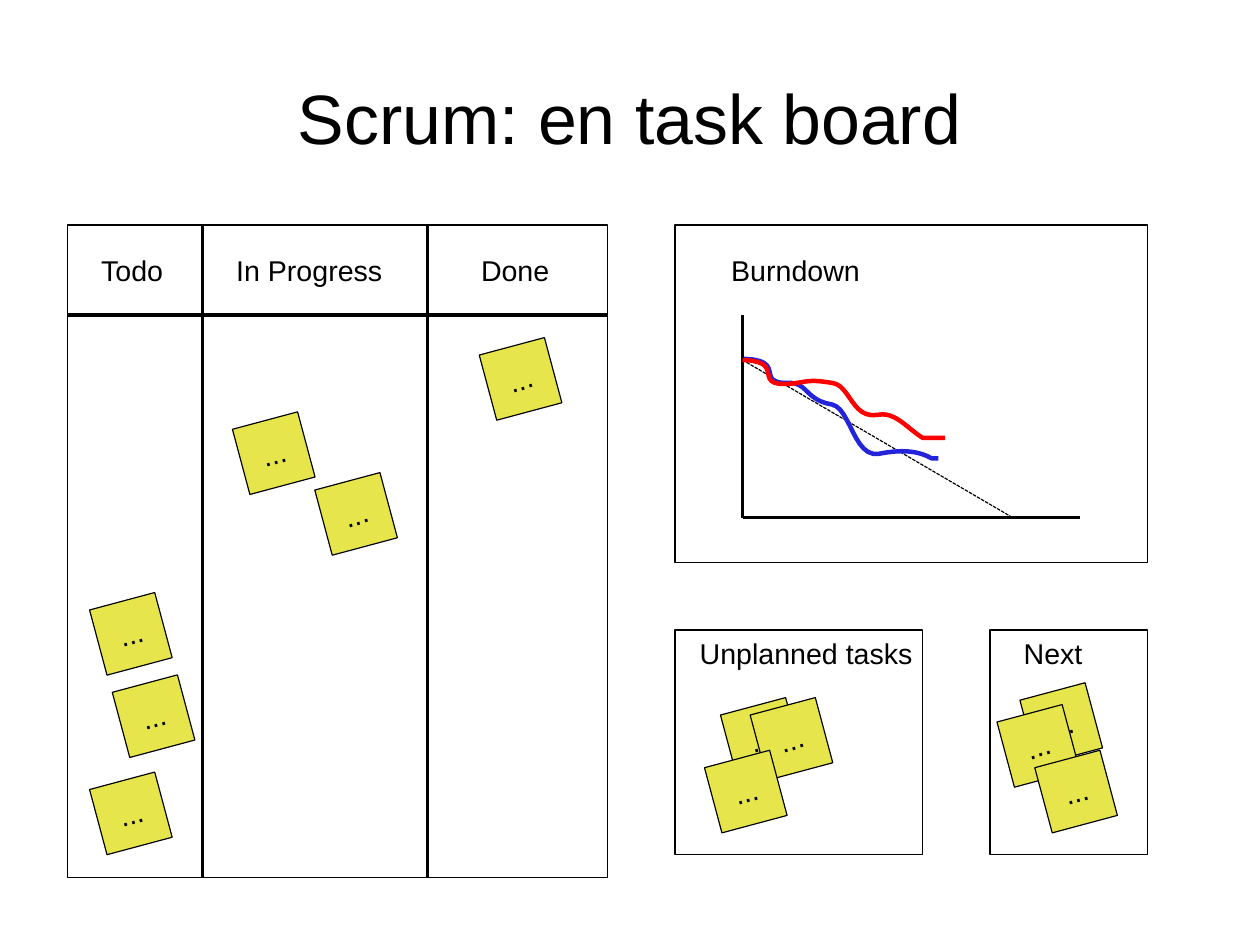
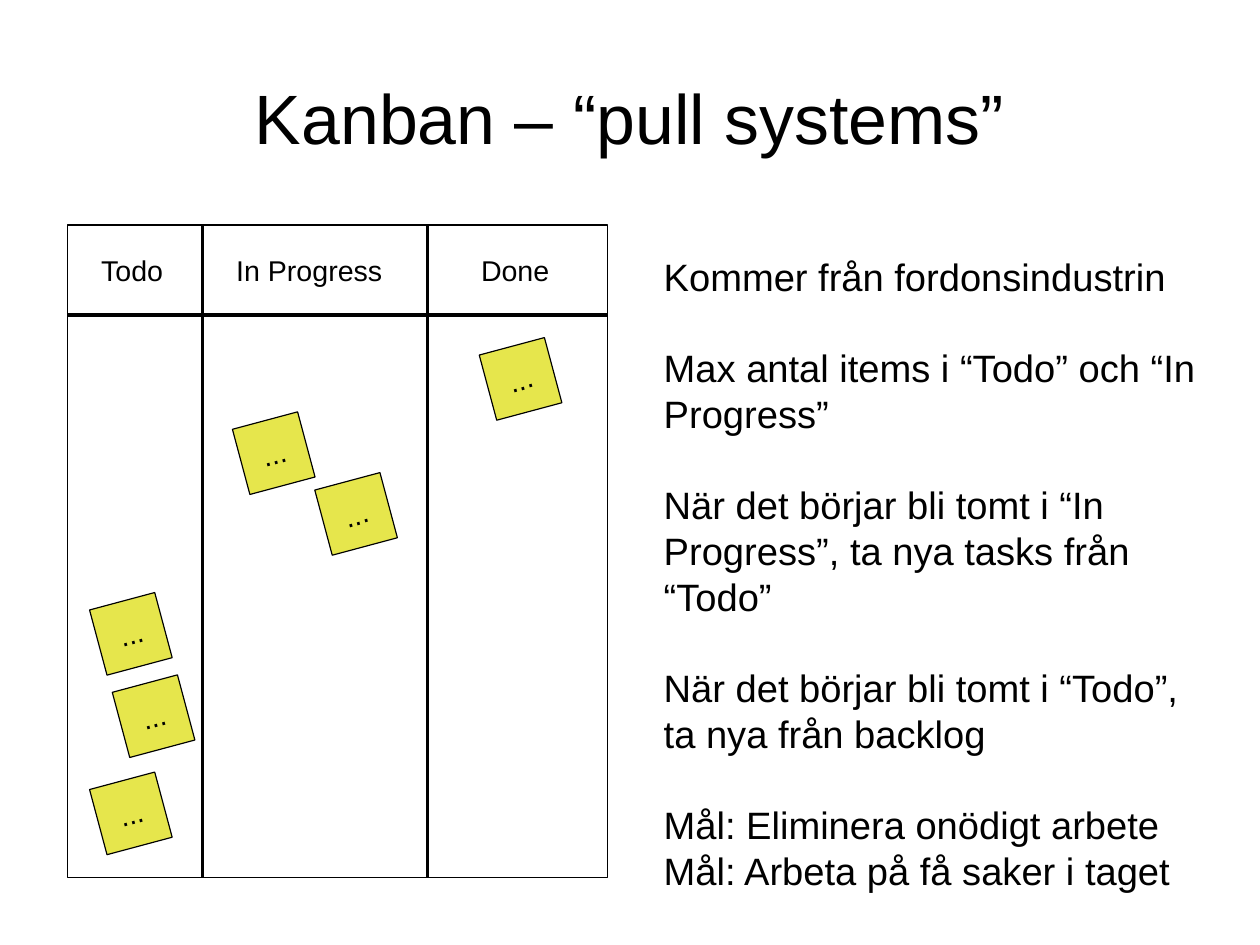
from pptx import Presentation
from pptx.dml.color import RGBColor
from pptx.enum.dml import MSO_LINE
from pptx.enum.shapes import MSO_CONNECTOR, MSO_SHAPE
from pptx.enum.text import MSO_ANCHOR, PP_ALIGN
from pptx.oxml.ns import qn
from pptx.util import Cm, Pt
from lxml import etree

BLACK = RGBColor(0x00, 0x00, 0x00)
WHITE = RGBColor(0xFF, 0xFF, 0xFF)
NOTE_YELLOW = RGBColor(0xE6, 0xE6, 0x4C)
BLUE = RGBColor(0x23, 0x23, 0xDC)
RED = RGBColor(0xFF, 0x00, 0x00)
RECTANGLE = MSO_SHAPE.RECTANGLE
STRAIGHT = MSO_CONNECTOR.STRAIGHT
DOTTED = MSO_LINE.SQUARE_DOT
LEFT, CENTER = PP_ALIGN.LEFT, PP_ALIGN.CENTER
TOP, MIDDLE = MSO_ANCHOR.TOP, MSO_ANCHOR.MIDDLE

FONT = "Arial"
TITLE_SIZE, BODY_SIZE, LABEL_SIZE = Pt(44), Pt(24), Pt(18)
BODY_LINE = Pt(28.8)
HAIRLINE, CURVE_WIDTH = Pt(0), Pt(2.83)

# Grid: 56 columns by 42 rows; boxes are (column, row, columns, rows)
CELL = Cm(0.5)
COLUMNS, ROWS = 56, 42
TITLE_BOX = (2.8, 1.7, 50.4, 7)
BOARD_BOX = (3, 10, 24, 29)
BURNDOWN_BOX = (30, 10, 21, 15)
UNPLANNED_BOX = (30, 28, 11, 10)
NEXT_BOX = (44, 28, 7, 10)
PRINCIPLES_BOX = (29, 11, 25, 29)
NOTE_SIDE, NOTE_TILT = 3, -15

# Board parts, measured from the corner of the board
HEADER_ROWS = 4
DIVIDERS = (6, 16)
BOARD_LABELS = (("Todo", 1, 4), ("In Progress", 7, 8), ("Done", 17.88, 4.5))
BOARD_NOTES = ((18.64, 5.34), (7.67, 8.64), (1.32, 16.67),
               (11.33, 11.34), (2.33, 20.33), (1.32, 24.65))
UNPLANNED_NOTES = ((2.36, 3.34), (3.68, 3.34), (1.65, 5.68))
NEXT_NOTES = ((1.67, 2.68), (0.65, 3.65), (2.33, 5.68))

# Burndown curves, measured from the top of the vertical axis:
# a start, then two handles and an end for every bend, then a straight tail
PLANNED_CURVE = (
    (0.07, 1.95), (2, 2), (0.53, 3.07), (2, 3.02),
    (2.92, 2.97), (2.76, 3.78), (3.98, 3.98),
    (4.8, 4.14), (4.95, 6.37), (6.07, 6.17),
    (6.83, 6.02), (7.69, 5.96), (8.4, 6.37), (8.71, 6.37))
DELAYED_CURVE = (
    (0, 2), (1.95, 2.05), (0.43, 3.12), (1.95, 3.07),
    (2.86, 3.02), (2.76, 2.82), (3.98, 3.02),
    (4.8, 3.12), (4.85, 4.64), (6.02, 4.44),
    (6.78, 4.29), (7.28, 5), (8, 5.46), (9.01, 5.46))
CURVE_STEPS = 12

PRINCIPLES = (
    "Kommer från fordonsindustrin",
    "Max antal items i “Todo” och “In Progress”",
    "När det börjar bli tomt i “In Progress”, ta nya tasks från “Todo”",
    "När det börjar bli tomt i “Todo”, ta nya från backlog",
    "Mål: Eliminera onödigt arbete",
    "Mål: Arbeta på få saker i taget",
)


def grid(*cells):
    return [round(cell * CELL) for cell in cells]


def style_paragraph(paragraph, size, align=LEFT):
    paragraph.alignment = align
    for run in paragraph.runs:
        run.font.name = FONT
        run.font.size = size
        run.font.color.rgb = BLACK


def add_text(slide, box, lines, size, align=LEFT, anchor=TOP):
    frame = slide.shapes.add_textbox(*grid(*box)).text_frame
    frame.word_wrap = True
    frame.vertical_anchor = anchor
    frame.text = "\n".join(lines)
    for paragraph in frame.paragraphs:
        style_paragraph(paragraph, size, align)
    return frame


def add_box(slide, box, fill=WHITE):
    panel = slide.shapes.add_shape(RECTANGLE, *grid(*box))
    panel.shadow.inherit = False
    panel.fill.solid()
    panel.fill.fore_color.rgb = fill
    panel.line.color.rgb = BLACK
    panel.line.width = HAIRLINE
    return panel


def add_rule(slide, x1, y1, x2, y2):
    rule = slide.shapes.add_connector(STRAIGHT, *grid(x1, y1, x2, y2))
    rule.line.color.rgb = BLACK
    rule.line.width = HAIRLINE
    etree.SubElement(rule.line._get_or_add_ln().getparent(), qn("a:effectLst"))
    return rule


def add_notes(slide, box, places):
    for column, row in places:
        note = add_box(slide, (box[0] + column, box[1] + row,
                               NOTE_SIDE, NOTE_SIDE), NOTE_YELLOW)
        note.rotation = NOTE_TILT
        note.text_frame.text = "..."
        note.text_frame.vertical_anchor = MIDDLE
        style_paragraph(note.text_frame.paragraphs[0], LABEL_SIZE, CENTER)


def bend_points(start, handle1, handle2, end):
    for step in range(1, CURVE_STEPS + 1):
        t = step / CURVE_STEPS
        s = 1 - t
        yield tuple(s**3 * a + 3 * s * s * t * b + 3 * s * t * t * c + t**3 * d
                    for a, b, c, d in zip(start, handle1, handle2, end))


def add_curve(slide, left, top, curve, color):
    points = [curve[0]]
    for i in range(0, len(curve) - 2, 3):
        points.extend(bend_points(*curve[i:i + 4]))
    points.append(curve[-1])
    placed = [grid(left + x, top + y) for x, y in points]
    builder = slide.shapes.build_freeform(*placed[0])
    builder.add_line_segments(placed[1:], close=False)
    trace = builder.convert_to_shape()
    trace.shadow.inherit = False
    trace.fill.background()
    trace.line.color.rgb = color
    trace.line.width = CURVE_WIDTH


def add_title(slide, title):
    frame = add_text(slide, TITLE_BOX, [title], TITLE_SIZE, CENTER, MIDDLE)
    frame.margin_left = frame.margin_right = 0
    frame.margin_top = frame.margin_bottom = 0


def add_board(slide, box):
    left, top, width, height = box
    add_box(slide, box)
    for label, column, columns in BOARD_LABELS:
        add_text(slide, (left + column, top + 1, columns, 2), [label], LABEL_SIZE)
    for column in DIVIDERS:
        add_rule(slide, left + column, top, left + column, top + height)
    add_rule(slide, left, top + HEADER_ROWS, left + width, top + HEADER_ROWS)
    add_notes(slide, box, BOARD_NOTES)


def add_burndown(slide, box):
    left, top = box[:2]
    add_box(slide, box)
    add_text(slide, (left + 2, top + 1, 7, 2), ["Burndown"], LABEL_SIZE)
    # Axes and ideal line
    axis_x, axis_top, axis_bottom = left + 3, top + 4, top + 13
    add_rule(slide, axis_x, axis_top, axis_x, axis_bottom)
    add_rule(slide, axis_x, axis_bottom, axis_x + 15, axis_bottom)
    ideal = add_rule(slide, axis_x, axis_top + 2, axis_x + 12, axis_bottom)
    ideal.line.width = Pt(0.75)
    ideal.line.dash_style = DOTTED
    # Progress curves
    add_curve(slide, axis_x, axis_top, PLANNED_CURVE, BLUE)
    add_curve(slide, axis_x, axis_top, DELAYED_CURVE, RED)


def add_pile(slide, box, label, indent, columns, notes):
    left, top = box[:2]
    add_box(slide, box)
    add_text(slide, (left + indent, top, columns, 2), [label], LABEL_SIZE)
    add_notes(slide, box, notes)


def add_principles(slide, box):
    frame = add_text(slide, box, PRINCIPLES, BODY_SIZE)
    for paragraph in frame.paragraphs:
        paragraph.line_spacing = BODY_LINE
    # The two goals at the end stand together
    for paragraph in frame.paragraphs[1:-1]:
        paragraph.space_before = BODY_LINE


def new_slide(deck, title):
    slide = deck.slides.add_slide(deck.slide_layouts[6])
    add_title(slide, title)
    add_board(slide, BOARD_BOX)
    return slide


def main():
    deck = Presentation()
    deck.slide_width, deck.slide_height = grid(COLUMNS, ROWS)

    scrum = new_slide(deck, "Scrum: en task board")
    add_burndown(scrum, BURNDOWN_BOX)
    add_pile(scrum, UNPLANNED_BOX, "Unplanned tasks", 0.6, 11, UNPLANNED_NOTES)
    add_pile(scrum, NEXT_BOX, "Next", 1, 4, NEXT_NOTES)

    kanban = new_slide(deck, "Kanban – “pull systems”")
    add_principles(kanban, PRINCIPLES_BOX)

    deck.save("out.pptx")


if __name__ == "__main__":
    main()
